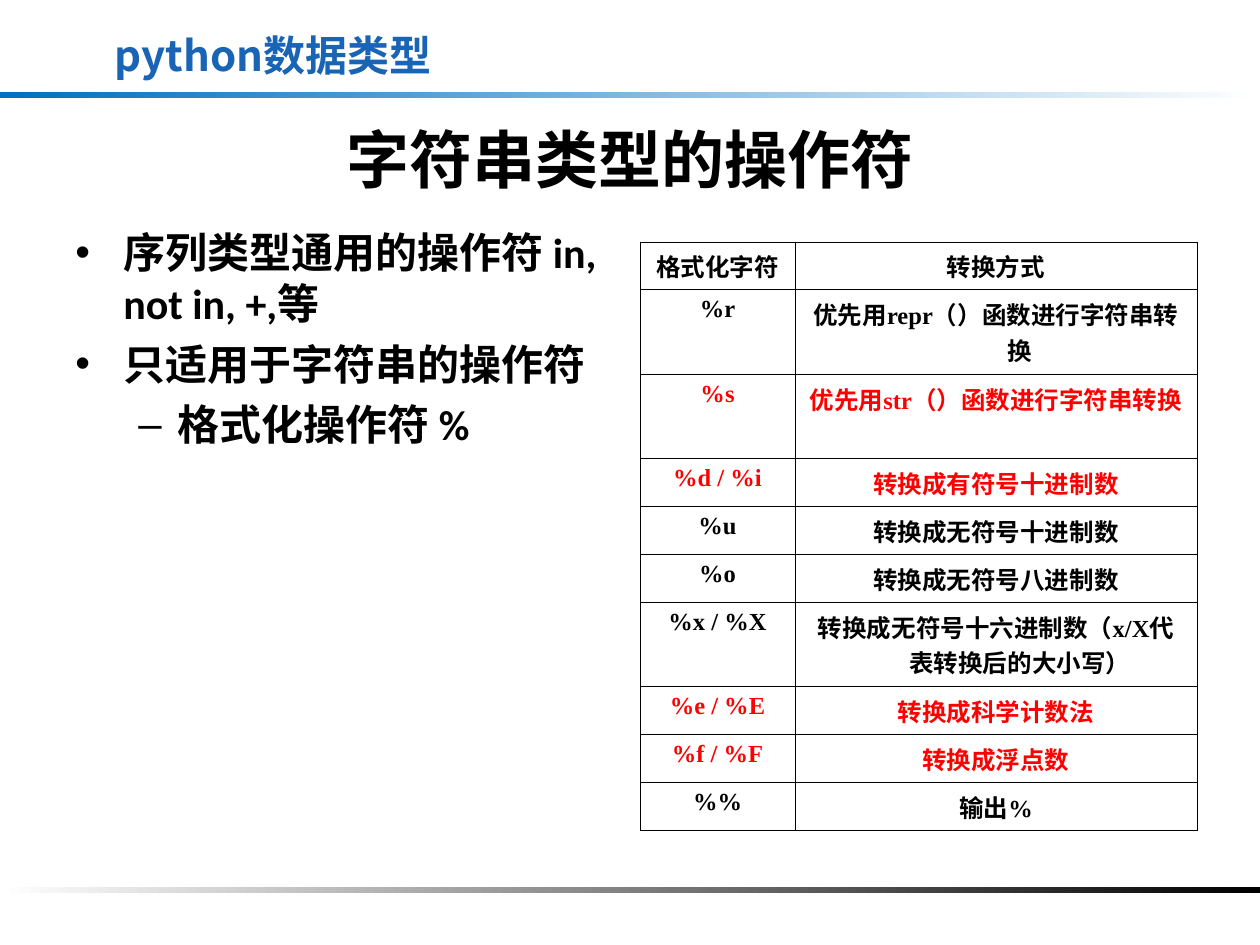
from lxml import etree
from pptx import Presentation
from pptx.dml.color import RGBColor
from pptx.enum.shapes import MSO_SHAPE
from pptx.enum.text import MSO_ANCHOR, PP_ALIGN
from pptx.oxml.ns import qn
from pptx.util import Inches, Pt

BLACK = RGBColor(0, 0, 0)
WHITE = RGBColor(255, 255, 255)
RED = RGBColor(255, 0, 0)
BLUE = RGBColor(0x00, 0x70, 0xC0)
HEAD = RGBColor(0x19, 0x64, 0xB4)
RECT = MSO_SHAPE.RECTANGLE
CENTER, LEFT = PP_ALIGN.CENTER, PP_ALIGN.LEFT
MIDDLE, TOP = MSO_ANCHOR.MIDDLE, MSO_ANCHOR.TOP
SANS, SERIF, HAN = "Calibri", "Times New Roman", "Noto Sans CJK SC"

WIDE, HIGH = 10, 7.5
EDGE = 0.05 * WIDE
HALF = 4.42

POINTS = [
    (0, "序列类型通用的操作符 in, not in, +,等"),
    (0, "只适用于字符串的操作符"),
    (1, "格式化操作符 %"),
]
BULLETS = [("•", 0.38, 0.38), ("–", 0.81, 0.31)]  # sign, margin, hang

# Code, meaning, colour, lines of text
CODES = [
    ("格式化字符", "转换方式", BLACK, 1),
    ("%r", "优先用repr（）函数进行字符串转换", BLACK, 2),
    ("%s", "优先用str（）函数进行字符串转换", RED, 2),
    ("%d / %i", "转换成有符号十进制数", RED, 1),
    ("%u", "转换成无符号十进制数", BLACK, 1),
    ("%o", "转换成无符号八进制数", BLACK, 1),
    ("%x / %X", "转换成无符号十六进制数（x/X代表转换后的大小写）", BLACK, 2),
    ("%e / %E", "转换成科学计数法", RED, 1),
    ("%f / %F", "转换成浮点数", RED, 1),
    ("%%", "输出%", BLACK, 1),
]
UNITS = {1: 0.38, 2: 0.67}  # row height for each count of lines


def inches(box):
    return [Inches(n) for n in box]


def style(para, size, face, color, align, margin, hang):
    """Set the font, alignment and hanging indent of a paragraph."""
    para.alignment = align
    props = para._p.get_or_add_pPr()
    props.set("marL", str(Inches(margin)))
    props.set("indent", str(-Inches(hang)))
    font = para.font
    font.size, font.bold, font.name = Pt(size), True, face
    font.color.rgb = color
    etree.SubElement(font._element, qn("a:ea")).set("typeface", HAN)


def text_box(slide, box, anchor):
    frame = slide.shapes.add_textbox(*inches(box)).text_frame
    frame.word_wrap = True
    frame.vertical_anchor = anchor
    return frame


def add_bar(slide, box, color, turn=0):
    """A thin bar that fades to white."""
    bar = slide.shapes.add_shape(RECT, *inches(box))
    bar.shadow.inherit = False
    bar.line.fill.background()
    bar.fill.gradient()
    bar.fill.gradient_angle = 0
    for stop, tone in zip(bar.fill.gradient_stops, (color, WHITE)):
        stop.color.rgb = tone
    bar.rotation = turn


def add_title(slide, box, text, size, face, color):
    para = text_box(slide, box, MIDDLE).paragraphs[0]
    para.text = text
    style(para, size, face, color, CENTER, 1, 1)


def add_points(slide, box):
    frame = text_box(slide, box, TOP)
    for i, (level, text) in enumerate(POINTS):
        para = frame.add_paragraph() if i else frame.paragraphs[0]
        para.text = text
        para.level = level
        para.space_before = Pt(6)
        sign, margin, hang = BULLETS[level]
        props = para._p.get_or_add_pPr()
        etree.SubElement(props, qn("a:buFont")).set("typeface", "Arial")
        etree.SubElement(props, qn("a:buChar")).set("char", sign)
        style(para, 24, SANS, BLACK, LEFT, margin, hang)


def add_border(cell):
    props = cell._tc.get_or_add_tcPr()
    for i, side in enumerate(("lnL", "lnR", "lnT", "lnB")):
        line = etree.Element(qn("a:" + side), w=str(Pt(0.45)))
        fill = etree.SubElement(line, qn("a:solidFill"))
        etree.SubElement(fill, qn("a:srgbClr")).set("val", str(BLACK))
        props.insert(i, line)


def add_codes(slide, left, top, width):
    tall = sum(UNITS[row[-1]] for row in CODES)
    box = inches((left, top, width, tall))
    table = slide.shapes.add_table(len(CODES), 2, *box).table
    table.first_row = table.horz_banding = False
    first = 1.23
    table.columns[0].width = Inches(first)
    table.columns[1].width = Inches(width - first)
    for row, (code, sense, color, lines) in zip(table.rows, CODES):
        row.height = Inches(UNITS[lines])
        for cell, text in zip(row.cells, (code, sense)):
            cell.fill.background()
            add_border(cell)
            para = cell.text_frame.paragraphs[0]
            para.text = text
            style(para, 14, SERIF, color, CENTER, 0.38, 0.38)


def main():
    deck = Presentation()
    deck.slide_width, deck.slide_height = Inches(WIDE), Inches(HIGH)
    slide = deck.slides.add_slide(deck.slide_layouts[6])
    # Bars
    add_bar(slide, (0, 0.73, WIDE, 0.05), BLUE)
    add_bar(slide, (0, 7.04, WIDE, 0.05), BLACK, 180)
    # Title and body
    add_title(slide, (EDGE, 0.63, WIDE - 2 * EDGE, 1.25),
              "字符串类型的操作符", 36, SANS, BLACK)
    add_points(slide, (EDGE, 1.75, HALF, 4.95))
    add_codes(slide, WIDE - EDGE - HALF, 1.92, HALF)
    # Section name
    add_title(slide, (EDGE, 0.14, WIDE / 3, 0.59),
              "python数据类型", 24, HAN, HEAD)
    deck.save("out.pptx")


if __name__ == "__main__":
    main()
